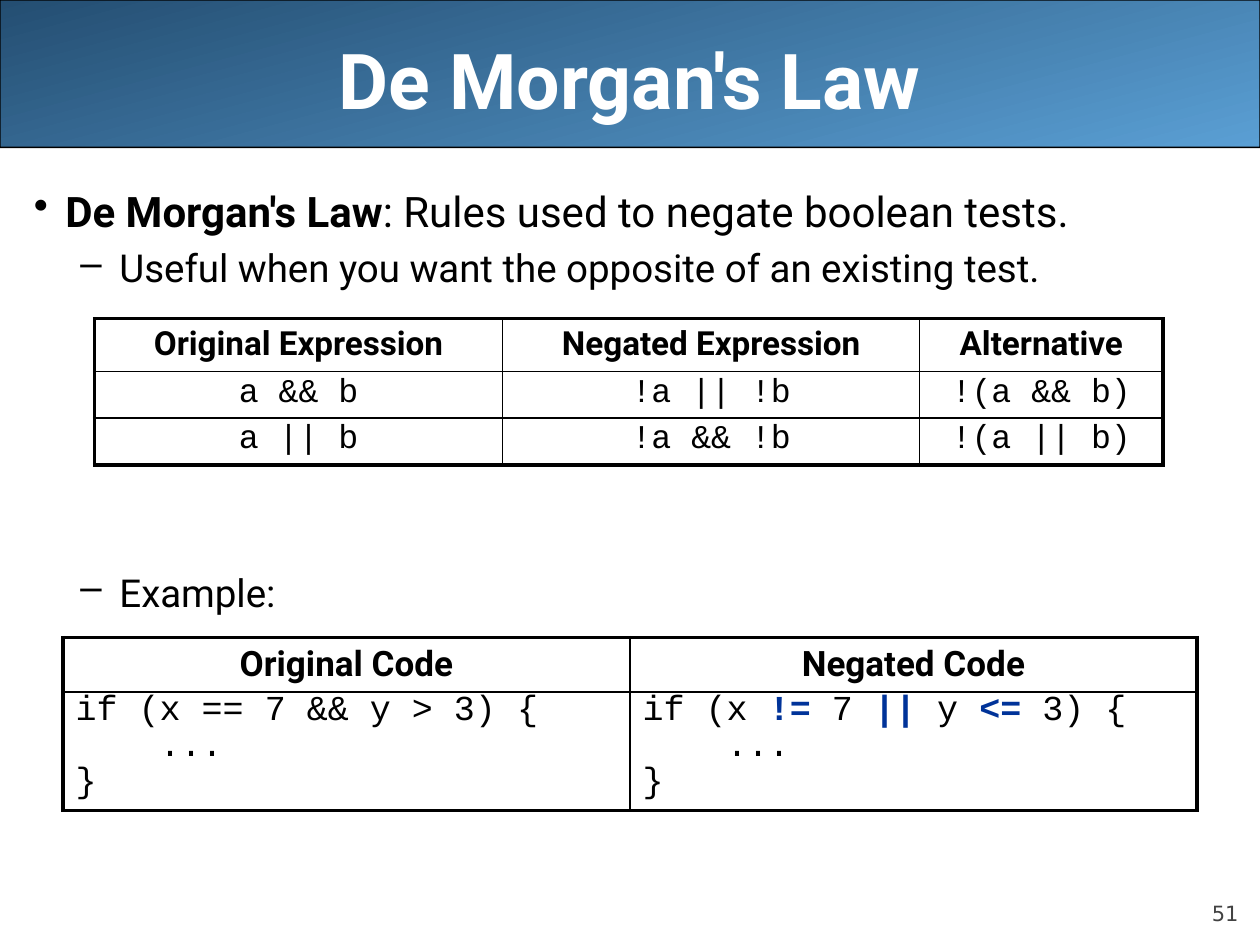
import pptx
import pptx.dml.color
import pptx.enum.shapes
import pptx.enum.text
import pptx.oxml
import pptx.oxml.ns
import pptx.util
from pptx.util import Inches

RGBColor = pptx.dml.color.RGBColor
BLACK = RGBColor(0x00, 0x00, 0x00)
WHITE = RGBColor(0xFF, 0xFF, 0xFF)
GRAY = RGBColor(0x42, 0x42, 0x42)
NAVY = RGBColor(0x00, 0x33, 0x99)
DARK = RGBColor(0x24, 0x4E, 0x72)
LIGHT = RGBColor(0x5A, 0x9F, 0xD4)

ALIGN = pptx.enum.text.PP_ALIGN
ANCHOR = pptx.enum.text.MSO_ANCHOR
SHAPE = pptx.enum.shapes.MSO_SHAPE
SANS, MONO = "Roboto", "Courier New"
THICK, THIN = 2.25, 1


def put(item, values):
    for name, value in values.items():
        setattr(item, name, value)


def write(para, text, look, color=BLACK, mark=None, **layout):
    """Fill a paragraph; parts between asterisks are bold, in the mark colour."""
    put(para, layout)
    for i, part in enumerate(text.split("*")):
        if part:
            run = para.add_run()
            run.text = part
            put(run.font, look)
            run.font.color.rgb = color
            if i % 2:
                run.font.bold = True
                run.font.color.rgb = mark or color


def add_box(slide, box, anchor=ANCHOR.TOP, **margins):
    frame = slide.shapes.add_textbox(*map(Inches, box)).text_frame
    put(frame, {"word_wrap": True, "vertical_anchor": anchor, **margins})
    return frame


def add_title(slide, box, text):
    left, top, width, height = box
    band = slide.shapes.add_shape(SHAPE.ROUNDED_RECTANGLE, *map(Inches, box))
    band.adjustments[0] = 0.001
    band.shadow.inherit = False
    band.fill.gradient()
    band.fill.gradient_angle = 285
    for stop, color in zip(band.fill.gradient_stops, (DARK, LIGHT)):
        stop.color.rgb = color
    band.line.color.rgb = BLACK
    band.line.width = pptx.util.Pt(0.75)
    frame = add_box(slide, (left + 0.5, top, width - 1, height + 0.08), ANCHOR.MIDDLE)
    look = {"name": SANS, "size": pptx.util.Pt(44), "bold": True}
    write(frame.paragraphs[0], text, look, WHITE, alignment=ALIGN.CENTER)


def add_points(slide, box, points):
    """Each point is text, bullet, indent, hang, size and space before."""
    frame = add_box(slide, box)
    for i, (text, sign, indent, hang, size, gap) in enumerate(points):
        para = frame.add_paragraph() if i else frame.paragraphs[0]
        props = para._p.get_or_add_pPr()
        props.set("marL", str(Inches(indent)))
        props.set("indent", str(-Inches(hang)))
        bullet = pptx.oxml.parse_xml(
            f'<a:buChar {pptx.oxml.ns.nsdecls("a")} char="{sign}"/>')
        props.append(bullet)
        look = {"name": SANS, "size": pptx.util.Pt(size), "bold": False}
        write(para, text, look, space_before=pptx.util.Pt(gap))


def add_edge(cell, side, width):
    edge = pptx.oxml.parse_xml(
        f'<a:ln{side} {pptx.oxml.ns.nsdecls("a")} w="{pptx.util.Pt(width)}">'
        f'<a:solidFill><a:srgbClr val="{BLACK}"/></a:solidFill></a:ln{side}>')
    cell._tc.get_or_add_tcPr().append(edge)


def add_grid(slide, place, cols, rows, cells, size, align, lead):
    """Draw a table with a bold head row over rows of code."""
    span = (sum(cols), sum(rows))
    grid = slide.shapes.add_table(
        len(rows), len(cols), *map(Inches, place + span)).table
    put(grid, {"first_row": False, "horz_banding": False})
    for col, width in zip(grid.columns, cols):
        col.width = Inches(width)
    for r, height in enumerate(rows):
        grid.rows[r].height = Inches(height)
        for c, text in enumerate(cells[r]):
            cell = grid.cell(r, c)
            outer = {"L": c == 0, "R": c == len(cols) - 1,
                     "T": r == 0, "B": r == len(rows) - 1}
            for side, thick in outer.items():
                add_edge(cell, side, THICK if thick else THIN)
            cell.fill.background()
            head = r == 0
            look = {"name": SANS if head else MONO,
                    "size": pptx.util.Pt(size), "bold": head}
            for i, line in enumerate(text.split("\n")):
                frame = cell.text_frame
                para = frame.add_paragraph() if i else frame.paragraphs[0]
                write(para, line, look, mark=NAVY,
                      alignment=ALIGN.CENTER if head else align,
                      line_spacing=1.0 if head else lead,
                      space_before=pptx.util.Pt(4.5 if i else 0))


def add_number(slide, box, text):
    margins = dict.fromkeys(
        ("margin_left", "margin_top", "margin_right", "margin_bottom"), 0)
    frame = add_box(slide, box, ANCHOR.BOTTOM, **margins)
    look = {"name": "DejaVu Sans", "size": pptx.util.Pt(12)}
    write(frame.paragraphs[0], text, look, GRAY, alignment=ALIGN.RIGHT)


def main():
    deck = pptx.Presentation()
    put(deck, {"slide_width": Inches(10), "slide_height": Inches(7.5)})
    slide = deck.slides.add_slide(deck.slide_layouts[6])
    add_title(slide, (0, 0, 10, 1.17), "De Morgan's Law")
    add_number(slide, (9, 6.95, 0.83, 0.4), "51")
    add_points(slide, (0.17, 1.42, 9.83, 5.67), [
        ("*De Morgan's Law*: Rules used to negate boolean tests.",
         "•", 0.25, 0.25, 24, 0),
        ("Useful when you want the opposite of an existing test.",
         "–", 0.68, 0.31, 22, 5),
        ("Example:", "–", 0.68, 0.31, 22, 159),
    ])
    add_grid(slide, (0.75, 2.53), (3.24, 3.31, 1.93), (0.42, 0.37, 0.37), [
        ("Original Expression", "Negated Expression", "Alternative"),
        ("a && b", "!a || !b", "!(a && b)"),
        ("a || b", "!a && !b", "!(a || b)"),
    ], 19, ALIGN.CENTER, 0.8)
    add_grid(slide, (0.5, 5.06), (4.5, 4.5), (0.43, 0.94), [
        ("Original Code", "Negated Code"),
        ("if (x == 7 && y > 3) {\n    ...\n}",
         "if (x *!=* 7 *||* y *<=* 3) {\n    ...\n}"),
    ], 20, ALIGN.LEFT, 0.7)
    deck.save("out.pptx")


if __name__ == "__main__":
    main()
